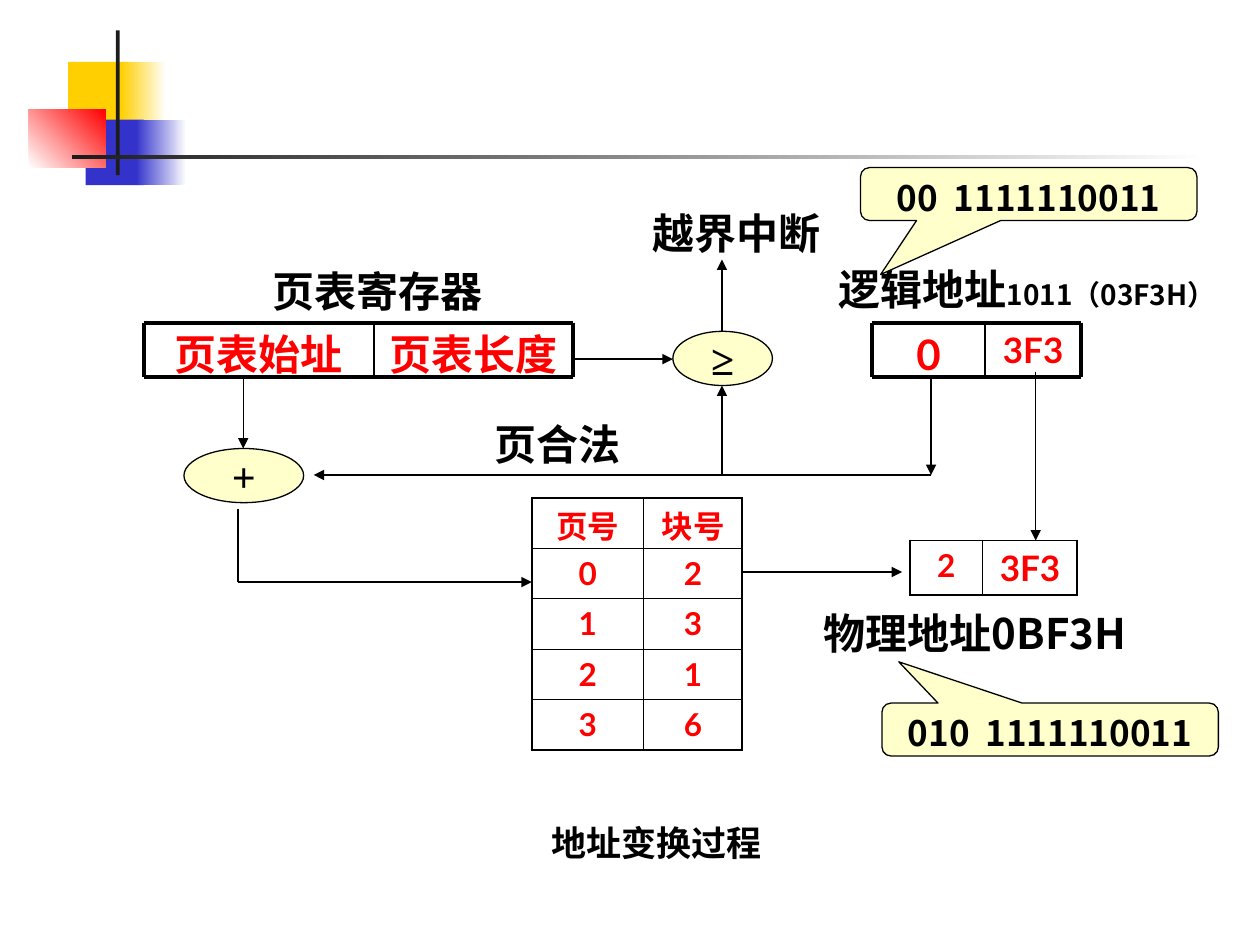
from lxml import etree
from pptx import Presentation
from pptx.dml.color import RGBColor
from pptx.enum.shapes import MSO_CONNECTOR, MSO_SHAPE
from pptx.enum.text import MSO_ANCHOR, PP_ALIGN
from pptx.oxml.ns import qn
from pptx.util import Emu, Pt

RECT, OVAL = MSO_SHAPE.RECTANGLE, MSO_SHAPE.OVAL
CALLOUT = MSO_SHAPE.ROUNDED_RECTANGULAR_CALLOUT
STRAIGHT = MSO_CONNECTOR.STRAIGHT
LEFT, CENTER, RIGHT = PP_ALIGN.LEFT, PP_ALIGN.CENTER, PP_ALIGN.RIGHT
MIDDLE, TOP = MSO_ANCHOR.MIDDLE, MSO_ANCHOR.TOP

PX = 9144  # 100 px to the inch
BLACK, RED, CREAM, WHITE = "000000", "FF0000", "FFFFCC", "FFFFFF"
TIMES, LATO, NOTO = "Times New Roman", "Lato", "Noto Sans CJK SC"

# box, colours (two make a gradient), gradient angle
DECORATION = [
    ((54, 49, 48, 52), ["FFCF01"], 0),
    ((96, 49, 36, 52), ["FFCF01", WHITE], 0),
    ((68, 95, 46, 52), ["3333CC"], 0),
    ((108, 95, 40, 52), ["3333CC", WHITE], 0),
    ((23, 87, 61, 46), [WHITE, RED], 45),
    ((92, 24, 3, 115), ["1C1C1C"], 0),
    ((57, 123, 900, 3), ["1C1C1C", WHITE], 0),
]
# box, alignment, font, runs of (text, size)
LABELS = [
    ((267, 647, 508, 44), CENTER, TIMES, [("地址变换过程", 20)]),
    ((177, 206, 245, 50), CENTER, TIMES, [("页表寄存器", 24)]),
    ((656, 204, 344, 50), LEFT, NOTO, [("逻辑地址", 24), ("1011（03F3H）", 16)]),
    ((644, 477, 295, 50), LEFT, NOTO, [("物理地址0BF3H", 24)]),
    ((462, 160, 245, 50), CENTER, TIMES, [("越界中断", 24)]),
    ((375, 327, 127, 50), RIGHT, TIMES, [("页合法", 24)]),
]
OPERATORS = [((146, 356, 95, 43), "+"), ((534, 263, 79, 43), "≥")]

# registers share one row: column edges, (text, size) per field
REG_TOP, REG_BOTTOM = 256, 299
REGISTERS = [
    ([114, 297, 455], [("页表始址", 24), ("页表长度", 24)]),
    ([692, 782, 858], [("0", 24), ("3F3", 20)]),
]
ARROWS = [
    (739, 299, 739, 377), (739, 377, 249, 377), (193, 299, 193, 356),
    (189, 462, 422, 462), (573, 377, 573, 306), (455, 285, 534, 285),
    (573, 263, 573, 206), (589, 454, 716, 454), (822, 295, 822, 429),
]
ADDER_STEM = (189, 404, 189, 462)

# left, top, column widths, row height, rows of (text, size)
PAGE_ROWS = [("页号", "块号"), ("0", "2"), ("1", "3"), ("2", "1"), ("3", "6")]
TABLES = [
    (422, 395, [89, 78], 40, [[(t, 18) for t in row] for row in PAGE_ROWS]),
    (722, 429, [58, 75], 43, [[("2", 18), ("3F3", 20)]]),
]
CALLOUTS = [
    ((683, 133, 267, 42), (-0.44, 1.52, 0.17), "00  1111110011"),
    ((700, 558, 267, 42), (-0.45, -1.28, 0.17), "010  1111110011"),
]


def px(*values):
    return [Emu(v * PX) for v in values]


def rgb(color):
    return RGBColor.from_string(color)


def write(tf, runs, font, color=BLACK, align=CENTER):
    p = tf.paragraphs[0]
    p.alignment = align
    for text, size in runs:
        r = p.add_run()
        r.text = text
        r.font.name, r.font.size, r.font.bold = font, Pt(size), True
        r.font.color.rgb = rgb(color)
        etree.SubElement(r.font._element, qn("a:ea"), typeface=NOTO)


def add_text(box, runs, font, color=BLACK, align=CENTER):
    tf = slide.shapes.add_textbox(*px(*box)).text_frame
    tf.word_wrap = True
    write(tf, runs, font, color, align)


def add_shape(kind, box, colors, angle=0, outline=False):
    s = slide.shapes.add_shape(kind, *px(*box))
    s.shadow.inherit = False
    if len(colors) == 1:
        s.fill.solid()
        s.fill.fore_color.rgb = rgb(colors[0])
    else:
        s.fill.gradient()
        s.fill.gradient_angle = angle
        for stop, color in zip(s.fill.gradient_stops, colors):
            stop.color.rgb = rgb(color)
    if outline:
        s.line.color.rgb, s.line.width = rgb(BLACK), Pt(0.75)
    else:
        s.line.fill.background()
    return s


def add_line(ends, width=0.75, arrow=False):
    c = slide.shapes.add_connector(STRAIGHT, *px(*ends))
    c.line.color.rgb, c.line.width = rgb(BLACK), Pt(width)
    if arrow:
        etree.SubElement(c.line._get_or_add_ln(), qn("a:tailEnd"), type="triangle")
    etree.SubElement(c._element.spPr, qn("a:effectLst"))


def set_borders(cell, widths):
    tcPr = cell._tc.get_or_add_tcPr()
    for i, (side, width) in enumerate(zip("LRTB", widths)):
        ln = etree.Element(qn("a:ln" + side), w=str(Pt(width)))
        fill = etree.SubElement(ln, qn("a:solidFill"))
        etree.SubElement(fill, qn("a:srgbClr"), val=BLACK)
        tcPr.insert(i, ln)


def add_table(left, top, widths, height, rows):
    n_rows, n_cols = len(rows), len(widths)
    box = px(left, top, sum(widths), height * n_rows)
    table = slide.shapes.add_table(n_rows, n_cols, *box).table
    table.first_row = table.horz_banding = False
    for column, width in zip(table.columns, widths):
        column.width = Emu(width * PX)
    for i, row in enumerate(rows):
        table.rows[i].height = Emu(height * PX)
        for j, item in enumerate(row):
            cell = table.cell(i, j)
            cell.fill.background()
            outer = (j == 0, j == n_cols - 1, i == 0, i == n_rows - 1)
            set_borders(cell, [1.08 if edge else 0.45 for edge in outer])
            if not item[0].isascii():  # taller glyphs need smaller margins
                cell.margin_top, cell.margin_bottom = px(3, 0)
            write(cell.text_frame, [item], LATO, RED)


prs = Presentation()
prs.slide_width, prs.slide_height = px(1000, 750)
slide = prs.slides.add_slide(prs.slide_layouts[6])

# Corner decoration
for box, colors, angle in DECORATION:
    add_shape(RECT, box, colors, angle)

# Operators
for box, sign in OPERATORS:
    tf = add_shape(OVAL, box, [CREAM], outline=True).text_frame
    tf.word_wrap, tf.vertical_anchor = False, MIDDLE
    write(tf, [(sign, 24)], TIMES)

# Registers: fields, then heavy frame with a thin divider
for edges, fields in REGISTERS:
    for x0, x1, field in zip(edges, edges[1:], fields):
        add_text((x0, REG_TOP, x1 - x0, REG_BOTTOM - REG_TOP), [field], LATO, RED)
    for y in (REG_TOP, REG_BOTTOM):
        add_line((edges[0], y, edges[-1], y), 2.25)
    for x in edges:
        add_line((x, REG_TOP, x, REG_BOTTOM), 1 if x == edges[1] else 2.25)

# Data flow
for ends in ARROWS:
    add_line(ends, arrow=True)
add_line(ADDER_STEM)

# Labels, page table and physical address
for box, align, font, runs in LABELS:
    add_text(box, runs, font, align=align)
for spec_row in TABLES:
    add_table(*spec_row)

# Binary callouts
for box, adjustments, bits in CALLOUTS:
    s = add_shape(CALLOUT, box, [CREAM], outline=True)
    for i, value in enumerate(adjustments):
        s.adjustments[i] = value
    s.text_frame.word_wrap, s.text_frame.vertical_anchor = True, TOP
    write(s.text_frame, [(bits, 20)], NOTO)

prs.save("out.pptx")
